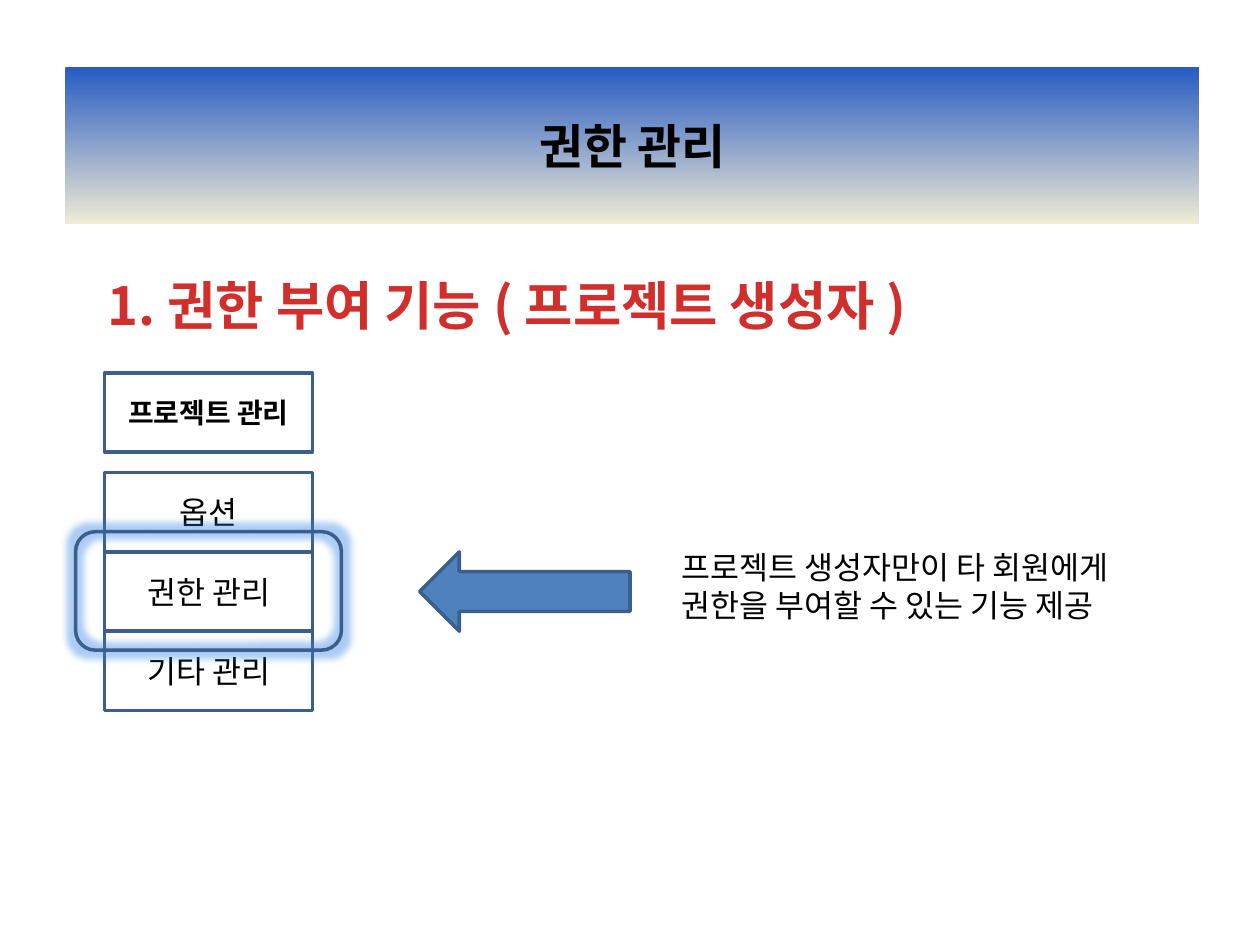
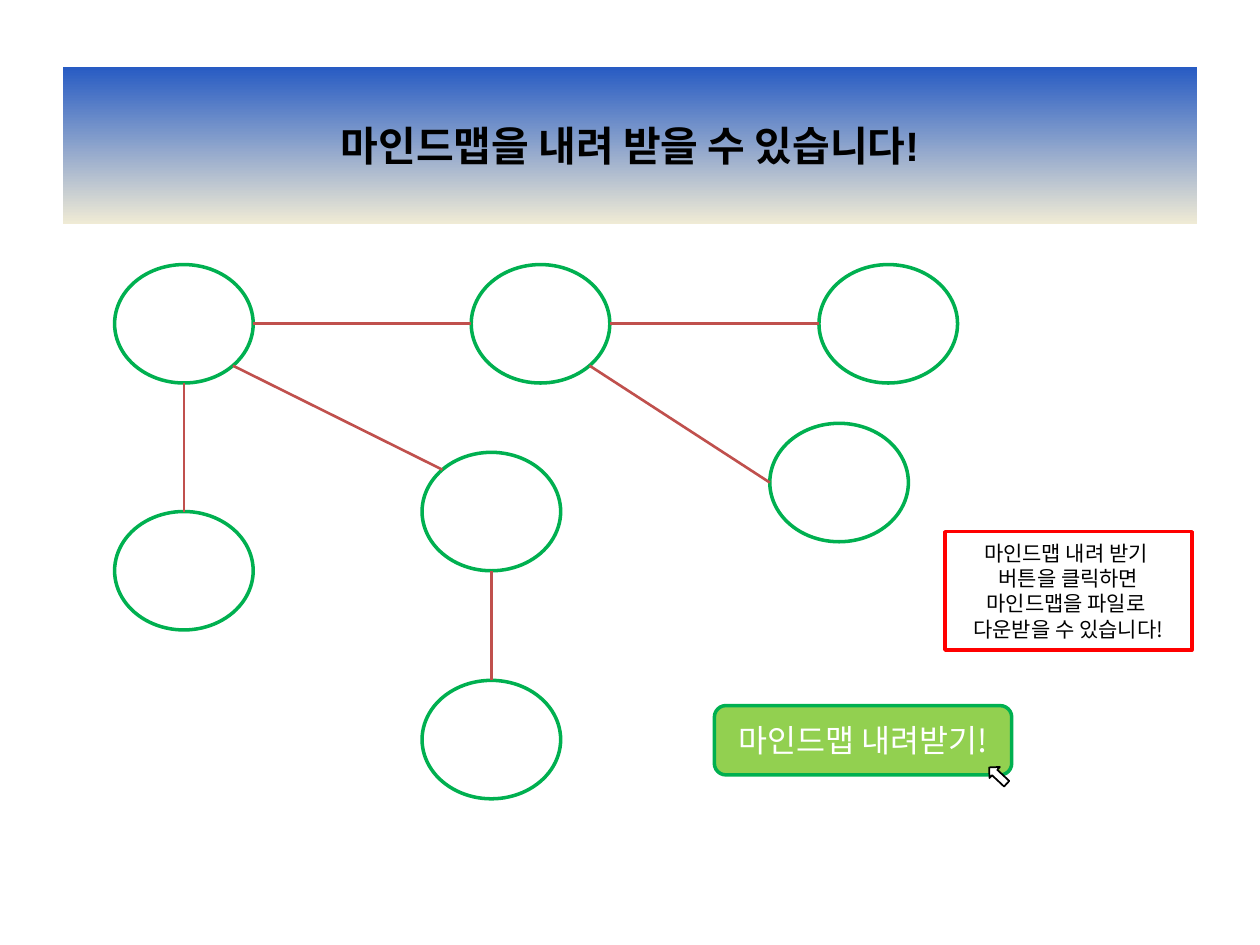
from lxml.etree import SubElement
from pptx import Presentation
from pptx.dml.color import RGBColor
from pptx.enum.shapes import MSO_CONNECTOR as Line, MSO_SHAPE as Shape
from pptx.enum.text import MSO_ANCHOR as Anchor, PP_ALIGN as Align
from pptx.oxml.ns import qn
from pptx.util import Inches, Pt

COLORS = {
    "band_top": "275BC3", "band_bottom": "F0EBD5",
    "black": "000000", "white": "FFFFFF",
    "heading": "D02F2C", "navy": "3A5F8C", "blue": "4F81BD", "glow": "2F7FE5",
    "node": "00B050", "link": "C0504D", "button": "92D050", "notice": "FF0000",
}
KOREAN, LATIN = "Noto Sans CJK KR", "Arial"

# Connection sites of an ellipse: index, then place as fractions of its box
DIAGONAL = 0.5 ** 1.5
SITES = {
    "top": (0, 0.5, 0),
    "top_left": (1, 0.5 - DIAGONAL, 0.5 - DIAGONAL),
    "left": (2, 0, 0.5),
    "bottom": (4, 0.5, 1),
    "bottom_right": (5, 0.5 + DIAGONAL, 0.5 + DIAGONAL),
    "right": (6, 1, 0.5),
}


def rgb(name):
    return RGBColor.from_string(COLORS[name])


class SlideBuilder:
    def __init__(self, deck):
        self.deck = deck
        self.page = None

    def new_page(self):
        self.page = self.deck.slides.add_slide(self.deck.slide_layouts[6])

    def add_lines(self, box, lines, size, color="black", bold=False,
                  align=Align.CENTER, font=KOREAN):
        frame = box.text_frame
        frame.word_wrap = True
        for index, line in enumerate(lines):
            para = frame.add_paragraph() if index else frame.paragraphs[0]
            para.alignment = align
            span = para.add_run()
            span.text = line
            span.font.name = font
            span.font.size = Pt(size)
            span.font.bold = bold
            span.font.color.rgb = rgb(color)
            SubElement(span.font._element, qn("a:ea"), typeface=KOREAN)

    def shape(self, kind, left, top, width, height, fill=None, line=None,
              weight=2, rotation=0):
        shape = self.page.shapes.add_shape(
            kind, Inches(left), Inches(top), Inches(width), Inches(height))
        shape.shadow.inherit = False
        shape.rotation = rotation
        shape.text_frame.vertical_anchor = Anchor.MIDDLE
        if fill:
            shape.fill.solid()
            shape.fill.fore_color.rgb = rgb(fill)
        else:
            shape.fill.background()
        if line:
            shape.line.color.rgb = rgb(line)
            shape.line.width = Pt(weight)
        else:
            shape.line.fill.background()
        return shape

    def text(self, left, top, width, height, lines, size, **style):
        box = self.page.shapes.add_textbox(
            Inches(left), Inches(top), Inches(width), Inches(height))
        self.add_lines(box, lines, size, **style)

    def title_band(self, left, title, size):
        band = self.shape(Shape.RECTANGLE, left, 0.53, 9, 1.25)
        band.fill.gradient()
        band.fill.gradient_angle = 270
        for stop, name in zip(band.fill.gradient_stops, ("band_top", "band_bottom")):
            stop.color.rgb = rgb(name)
        self.add_lines(band, [title], size, bold=True, font=LATIN)

    def glow(self, shape, color, radius, opacity):
        effects = shape._element.spPr.find(qn("a:effectLst"))
        glow = SubElement(effects, qn("a:glow"), rad=str(Pt(radius)))
        tint = SubElement(glow, qn("a:srgbClr"), val=COLORS[color])
        SubElement(tint, qn("a:alpha"), val=str(opacity * 1000))

    def link(self, start, start_site, end, end_site):
        points, ends = [], []
        for shape, site in ((start, start_site), (end, end_site)):
            index, across, down = SITES[site]
            points += [int(shape.left + across * shape.width),
                       int(shape.top + down * shape.height)]
            ends.append((shape.shape_id, index))
        line = self.page.shapes.add_connector(Line.STRAIGHT, *points)
        line.line.color.rgb = rgb("link")
        line.line.width = Pt(1.5)
        SubElement(line._element.spPr, qn("a:effectLst"))
        joints = line._element.find(".//" + qn("p:cNvCxnSpPr"))
        for tag, (shape_id, index) in zip(("a:stCxn", "a:endCxn"), ends):
            SubElement(joints, qn(tag), id=str(shape_id), idx=str(index))


def permission_page(builder):
    builder.new_page()
    builder.title_band(0.52, "권한 관리", 27.3)
    builder.text(-1.21, 2.12, 10.47, 0.61, ["1. 권한 부여 기능 ( 프로젝트 생성자 )"],
                 30, color="heading", bold=True)

    # Project menu
    left, width, height = 0.83, 1.65, 0.63
    header = builder.shape(Shape.RECTANGLE, left, 2.96, width, height, line="navy")
    builder.add_lines(header, ["프로젝트 관리"], 16, bold=True)
    for row, label in enumerate(("옵션", "권한 관리", "기타 관리")):
        item = builder.shape(Shape.RECTANGLE, left, 3.75 + row * height,
                             width, height, line="navy")
        builder.add_lines(item, [label], 18)

    # Highlighted item and its explanation
    highlight = builder.shape(Shape.ROUNDED_RECTANGLE, 0.6, 4.22, 2.11, 0.94, line="navy")
    builder.glow(highlight, "glow", radius=8, opacity=40)
    builder.shape(Shape.RIGHT_ARROW, 3.33, 4.38, 1.67, 0.63,
                  fill="blue", line="navy", rotation=180)
    builder.text(5.31, 4.3, 4.12, 0.71,
                 ["프로젝트 생성자만이 타 회원에게 권한을 부여할 수 있는 기능 제공"],
                 18, align=Align.LEFT)


def download_page(builder):
    builder.new_page()
    builder.title_band(0.5, "마인드맵을 내려 받을 수 있습니다!", 23.4)

    # Mind map
    places = {
        "root": (0.91, 2.1), "root_child": (0.91, 4.06),
        "hub": (3.74, 2.1), "hub_end": (6.5, 2.1), "hub_child": (6.11, 3.36),
        "branch": (3.35, 3.59), "branch_child": (3.35, 5.4),
    }
    nodes = {name: builder.shape(Shape.OVAL, left, top, 1.1, 0.94, line="node")
             for name, (left, top) in places.items()}
    for start, start_site, end, end_site in (
        ("root", "right", "hub", "left"),
        ("root", "bottom_right", "branch", "top_left"),
        ("root", "bottom", "root_child", "top"),
        ("hub", "right", "hub_end", "left"),
        ("hub", "bottom_right", "hub_child", "left"),
        ("branch", "bottom", "branch_child", "top"),
    ):
        builder.link(nodes[start], start_site, nodes[end], end_site)

    # Download button with mouse pointer
    button = builder.shape(Shape.ROUNDED_RECTANGLE, 5.67, 5.6, 2.36, 0.55,
                           fill="button", line="node")
    builder.add_lines(button, ["마인드맵 내려받기!"], 18, color="white")
    builder.shape(Shape.UP_ARROW, 7.86, 6.06, 0.12, 0.19,
                  fill="white", line="black", weight=1, rotation=313)

    # Notice
    notice = builder.shape(Shape.RECTANGLE, 7.5, 4.22, 1.96, 0.94,
                           fill="white", line="notice")
    builder.add_lines(notice, ["마인드맵 내려 받기 ", "버튼을 클릭하면",
                               "마인드맵을 파일로 ", "다운받을 수 있습니다!"], 12)


def main():
    deck = Presentation()
    deck.slide_width, deck.slide_height = Inches(10), Inches(7.5)
    builder = SlideBuilder(deck)
    permission_page(builder)
    download_page(builder)
    deck.save("out.pptx")


if __name__ == "__main__":
    main()
